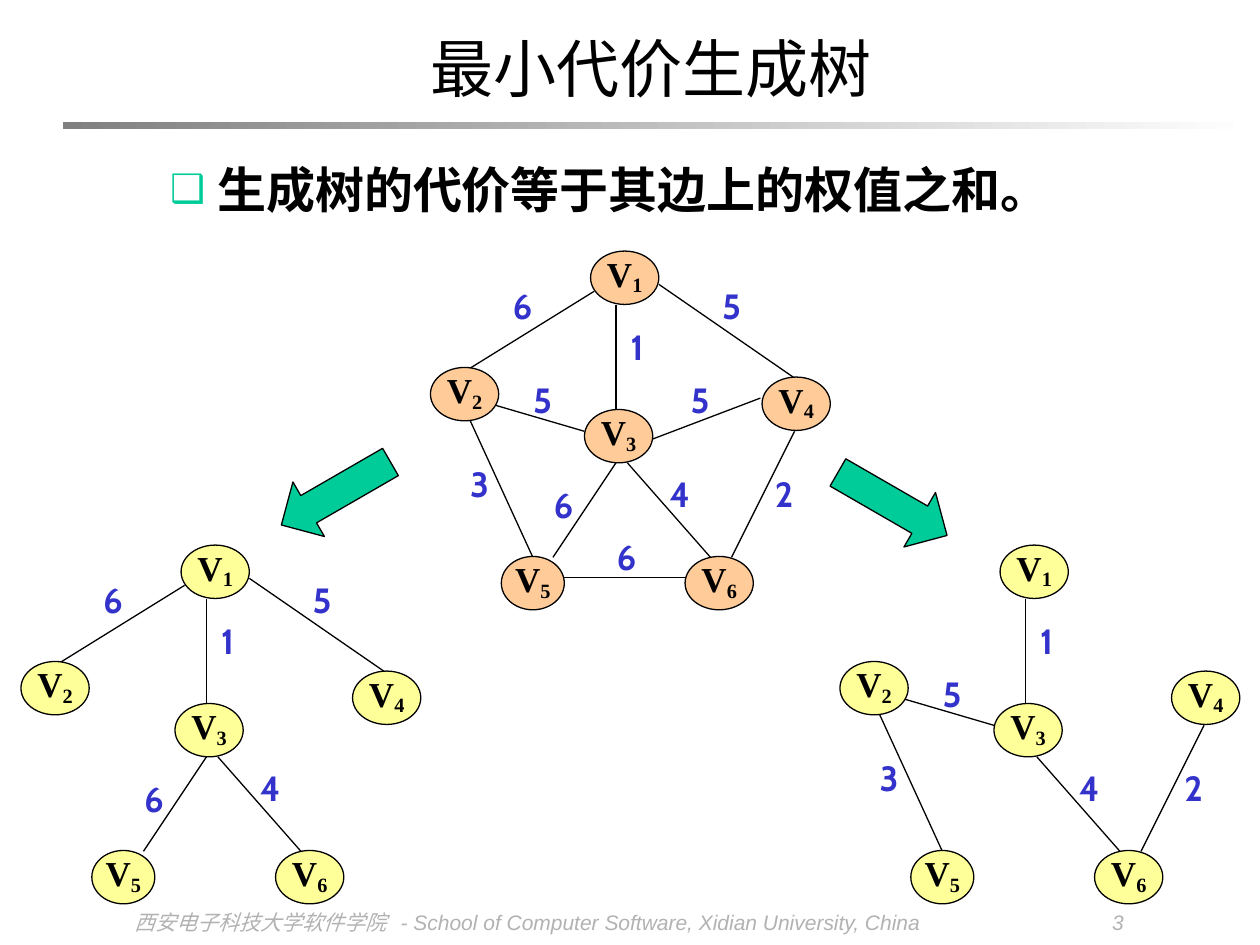
from lxml import etree
from pptx import Presentation
from pptx import util as u
from pptx.dml.color import RGBColor
from pptx.enum import shapes, text
from pptx.oxml import ns

Pt = u.Pt
HUES = {"ink": "000000", "peach": "FFCC99", "lemon": "FFFF99", "green": "00CC99",
        "blue": "3333CC", "grey": "B2B2B2", "dark": "808080", "white": "FFFFFF"}
SERIF, SANS, CJK = "Times New Roman", "Arial", "Noto Sans CJK SC"
NODES = {1: (91.5, 0, 39), 2: (0, 66.5, 39), 3: (88, 90.5, 39),
         4: (189.5, 72, 39), 5: (40.5, 174.5, 36), 6: (145.5, 174.5, 39)}
EDGES = {(1, 2): (6, (93.5, 23), (22.5, 67), (40.5, 19)),
         (1, 3): (1, (106, 31), (106, 91), (106, 42.5)),
         (1, 4): (5, (130.5, 19), (208, 72.5), (160, 19)),
         (2, 3): (5, (88, 103), (30, 86), (52, 72.5)),
         (3, 4): (5, (124, 108.5), (188.5, 84), (142, 72.5)),
         (2, 5): (3, (22.5, 96.5), (58.5, 175), (16, 121)),
         (3, 5): (6, (106, 121), (70, 175), (64, 132.5)),
         (3, 6): (4, (112.5, 121), (160, 175), (130.5, 126.5)),
         (4, 6): (2, (208, 103), (172, 175), (190, 126.5)),
         (5, 6): (6, (76.5, 186.5), (148.5, 186.5), (100, 162.5))}


def hue(name):
    """Return the named colour."""
    return RGBColor.from_string(HUES[name])


def sub(parent, tag, **attrs):
    """Append a drawing element to its parent."""
    return etree.SubElement(parent, ns.qn("a:" + tag), attrs)


def place(shape, box):
    """Move a shape to a box given in points."""
    shape.left, shape.top, shape.width, shape.height = map(Pt, box)


def write(shape, *runs, size=20, color="ink", font=SERIF, bold=False, slant=False,
          align="CENTER", anchor="TOP", pad=(0, 0), line=None, before=None):
    """Fill a shape with one paragraph of (words, overrides) runs and return it."""
    frame = shape.text_frame
    frame.word_wrap = True
    frame.auto_size = text.MSO_AUTO_SIZE.NONE
    frame.vertical_anchor = getattr(text.MSO_ANCHOR, anchor)
    frame.margin_left = frame.margin_right = Pt(pad[0])
    frame.margin_top = frame.margin_bottom = Pt(pad[1])
    para = frame.paragraphs[0]
    para.alignment = getattr(text.PP_ALIGN, align)
    if line:
        para.line_spacing = line
    if before is not None:
        para.space_before = Pt(before)
    for words, extra in runs:
        run = para.add_run()
        run.text = words
        face = run.font
        face.size, face.bold, face.italic = Pt(size), bold, slant
        face.color.rgb = hue(color)
        face.name = extra.get("font", font)
        props = run._r.get_or_add_rPr()
        sub(props, "ea", typeface=CJK)
        if "base" in extra:
            props.set("baseline", str(extra["base"] * 1000))
    return para


def draw(group, kind, box, fill, edge=True):
    """Add a filled preset shape without shadow."""
    shape = group.add_shape(getattr(shapes.MSO_SHAPE, kind), *map(Pt, box))
    shape.shadow.inherit = False
    shape.fill.solid()
    shape.fill.fore_color.rgb = hue(fill)
    if edge:
        shape.line.color.rgb = hue("ink")
        shape.line.width = Pt(0.75)
    else:
        shape.line.fill.background()
    return shape


def link(group, start, end):
    """Draw a plain thin line between two points."""
    line = group.add_connector(shapes.MSO_CONNECTOR.STRAIGHT, *map(Pt, (*start, *end)))
    line.line.color.rgb = hue("ink")
    line.line.width = Pt(0.75)
    sub(line._element.spPr, "effectLst")


def graph(group, left, top, fill, edges):
    """Draw the six nodes and the chosen weighted edges from a corner."""
    def shift(point):
        return left + point[0], top + point[1]

    for edge in edges:
        link(group, *map(shift, EDGES[edge][1:3]))
    for num, (x, y, width) in NODES.items():
        node = draw(group, "OVAL", (*shift((x, y)), width, 30.5), fill)
        write(node, ("V", {}), (str(num), {"base": -16}), bold=True,
              anchor="MIDDLE", line=0.72)
    for edge in edges:
        cost, _, _, spot = EDGES[edge]
        label = group.add_textbox(*map(Pt, (*shift(spot), 24, 24)))
        write(label, (str(cost), {}), font="Cabin", color="blue", bold=True, before=12.5)


def head(slide, box):
    """Set the title and the fading rule below it."""
    left, top, width, height = box
    place(slide.shapes.title, box)
    write(slide.shapes.title, ("最小代价生成树", {}), size=36, anchor="MIDDLE", pad=(7.2, 3.6))
    rule = draw(slide.shapes, "RECTANGLE", (left - 29, top + 59, 680, 3.6), "dark", edge=False)
    rule.fill.gradient()
    rule.fill.gradient_angle = 180
    for stop, name in zip(rule.fill.gradient_stops, ("white", "dark")):
        stop.color.rgb = hue(name)


def point(body, box):
    """Set the single bulleted statement."""
    place(body, box)
    para = write(body, ("生成树的代价等于其边上的权值之和。", {}), size=28, font=CJK,
                 bold=True, align="LEFT", pad=(7.2, 3.6), line=1.1, before=7)
    props = para._p.get_or_add_pPr()
    props.set("marL", str(Pt(27)))
    props.set("indent", str(Pt(-27)))
    sub(sub(props, "buClr"), "srgbClr", val=HUES["green"])
    sub(props, "buSzPct", val="80000")
    sub(props, "buChar", char="❑")


def foot(slide, box):
    """Set the school line and the page number on tab stops."""
    note = slide.shapes.add_textbox(*map(Pt, box))
    para = write(note, ("西安电子科技大学软件学院", {}),
                 ("\t- School of Computer Software, Xidian University, China\t3", {"font": SANS}),
                 size=12, color="grey", slant=True, align="LEFT", pad=(0, 3.6))
    tabs = sub(para._p.get_or_add_pPr(), "tabLst")
    for stop in (152, 558.5):
        sub(tabs, "tab", pos=str(Pt(stop)), algn="l")


def main():
    """Build and save the slide."""
    deck = Presentation()
    deck.slide_width, deck.slide_height = Pt(720), Pt(540)
    slide = deck.slides.add_slide(deck.slide_layouts[1])
    foot(slide, (77, 516, 640, 24))
    head(slide, (65, 11, 613.5, 54.5))
    point(slide.placeholders[1], (90, 84, 564, 54))
    graph(slide.shapes, 246, 143.5, "peach", EDGES)
    graph(slide.shapes.add_group_shape().shapes, 12, 311.5, "lemon",
          [(1, 2), (1, 3), (1, 4), (3, 5), (3, 6)])
    graph(slide.shapes.add_group_shape().shapes, 480, 311.5, "lemon",
          [(1, 3), (2, 3), (2, 5), (3, 6), (4, 6)])
    for kind, left, top, turn in (("RIGHT_ARROW", 474, 270, 30), ("LEFT_ARROW", 156, 264, 330)):
        draw(slide.shapes, kind, (left, top, 72, 36), "green").rotation = turn
    deck.save("out.pptx")


if __name__ == "__main__":
    main()
